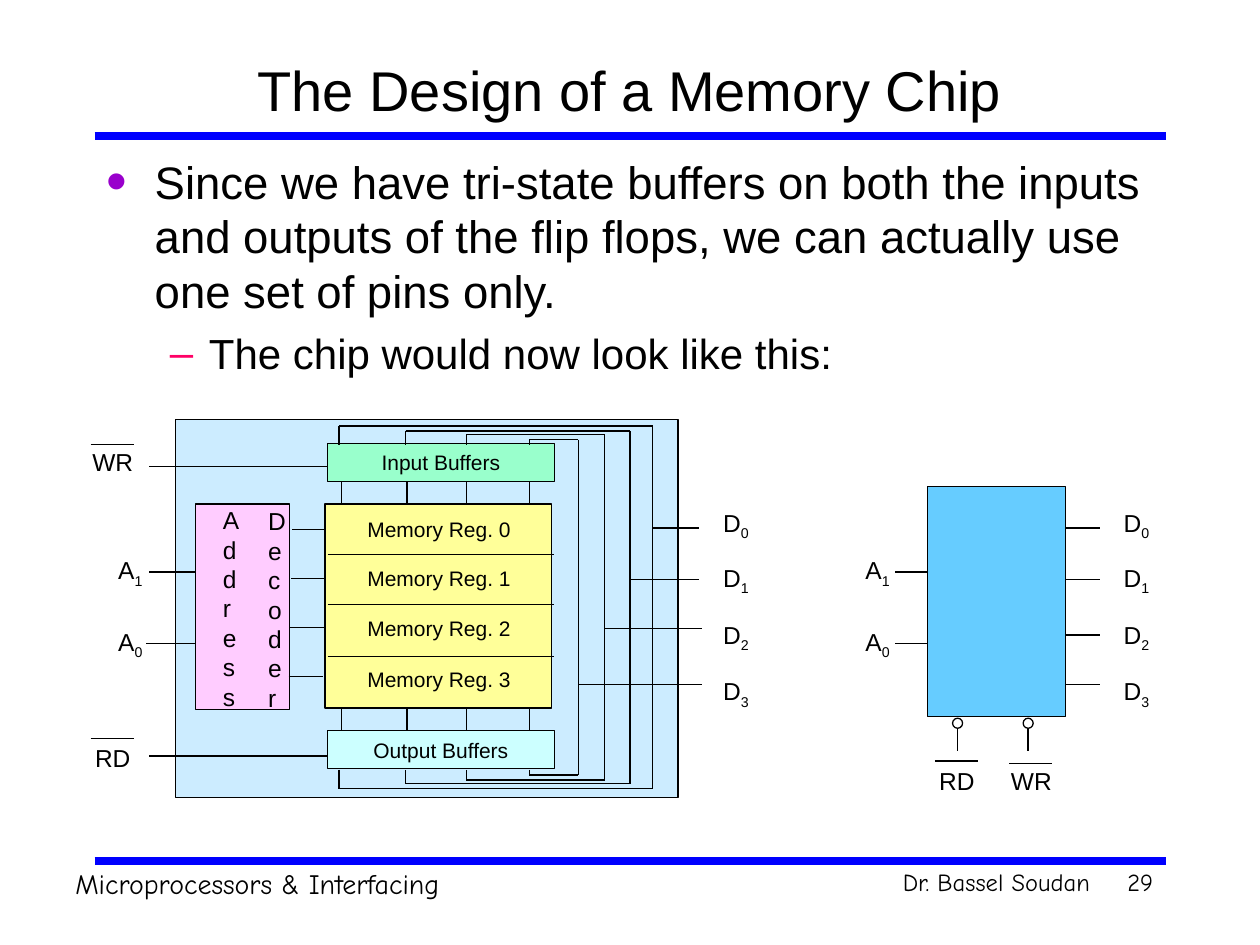
from lxml import etree
from pptx import Presentation
from pptx import util as u
from pptx.dml.color import RGBColor
from pptx.enum import shapes, text
from pptx.oxml.ns import qn

PX = 9144
INK = {
    "black": "000000", "rule": "0000FF", "dot": "9900CC", "dash": "FF0066",
    "chip": "CCECFF", "reg": "FFFF99", "input": "99FFCC", "output": "CCFFFF",
    "decode": "FFCCFF", "block": "66CCFF",
}
ALIGN = {"l": text.PP_ALIGN.LEFT, "c": text.PP_ALIGN.CENTER, "r": text.PP_ALIGN.RIGHT}
HAND = "Comic Neue"


def emu(*nums):
    """Turn px into EMU."""
    return [u.Emu(n * PX) for n in nums]


def rgb(name):
    """Look up a colour."""
    return RGBColor.from_string(INK[name])


def write(par, words, size, font="Arial", align="l", sub=""):
    """Fill a paragraph with a run and an optional subscript run."""
    par.alignment = ALIGN[align]
    for part, base in ((words, None), (sub, "-25000")):
        if part:
            run = par.add_run()
            run.text = part
            run.font.size = u.Pt(size)
            run.font.name = font
            run.font.color.rgb = rgb("black")
            if base:
                run.font._element.set("baseline", base)


def label(slide, box, lines, size=14, font="Arial", align="l", sub="", wrap=True):
    """Add a text box with one paragraph for each line."""
    frame = slide.shapes.add_textbox(*emu(*box)).text_frame
    frame.word_wrap = wrap
    frame.auto_size = text.MSO_AUTO_SIZE.SHAPE_TO_FIT_TEXT
    for i, words in enumerate(lines):
        par = frame.add_paragraph() if i else frame.paragraphs[0]
        write(par, words, size, font, align, sub)


def line(slide, x1, y1, x2, y2, tint="black", width=0.75):
    """Draw a straight line."""
    wire = slide.shapes.add_connector(shapes.MSO_CONNECTOR.STRAIGHT, *emu(x1, y1, x2, y2))
    wire.line.color.rgb = rgb(tint)
    wire.line.width = u.Pt(width)
    etree.SubElement(wire._element.spPr, qn("a:effectLst"))


def block(slide, box, fill=None, words="", kind=shapes.MSO_SHAPE.RECTANGLE):
    """Draw an outlined shape with optional text."""
    shape = slide.shapes.add_shape(kind, *emu(*box))
    shape.shadow.inherit = False
    if fill:
        shape.fill.solid()
        shape.fill.fore_color.rgb = rgb(fill)
    else:
        shape.fill.background()
    shape.line.color.rgb = rgb("black")
    shape.line.width = u.Pt(0.75)
    if words:
        write(shape.text_frame.paragraphs[0], words, 12, align="c")


def barred(slide, x, y, words, rise):
    """Write an active-low signal name under a bar."""
    label(slide, (x, y, 59, 34), [words], align="c")
    line(slide, x + 12, y + rise, x + 46, y + rise)


def names(slide, x, y, letter, digits, step):
    """Write a column of pin names with subscripts."""
    for i, digit in enumerate(digits):
        label(slide, (x, y + i * step // 3, 46, 37), [letter], sub=digit)


def head(slide, x, y, w, h):
    """Place the title and the rule under it."""
    title = slide.shapes.title
    title.left, title.top, title.width, title.height = emu(x, y, w, h)
    frame = title.text_frame
    frame.auto_size = text.MSO_AUTO_SIZE.NONE
    frame.vertical_anchor = text.MSO_ANCHOR.MIDDLE
    write(frame.paragraphs[0], "The Design of a Memory Chip", 32, align="c")
    line(slide, x, y + h, x + w, y + h, "rule", 4.5)


def body(slide, x, y, w, h):
    """Place the bulleted text."""
    frame = slide.shapes.add_textbox(*emu(x, y, w, h)).text_frame
    frame.word_wrap = True
    rows = (
        ("Since we have tri-state buffers on both the inputs and outputs of the "
         "flip flops, we can actually use one set of pins only.",
         26, 6.5, 38, 38, "•", "dot", 130),
        ("The chip would now look like this:", 24, 6, 81, 31, "–", "dash", 100),
    )
    for i, (words, size, gap, left, hang, mark, tint, scale) in enumerate(rows):
        par = frame.add_paragraph() if i else frame.paragraphs[0]
        par.level = i
        par.space_before = u.Pt(gap)
        write(par, words, size)
        props = par._p.get_or_add_pPr()
        props.set("marL", str(left * PX))
        props.set("indent", str(-hang * PX))
        color = etree.SubElement(props, qn("a:buClr"))
        etree.SubElement(color, qn("a:srgbClr"), val=INK[tint])
        etree.SubElement(props, qn("a:buSzPct"), val=str(scale * 1000))
        etree.SubElement(props, qn("a:buFont"), typeface="Arial")
        etree.SubElement(props, qn("a:buChar"), char=mark)


def decoder(slide, x, y, w, h):
    """Draw the address decoder with its two upright words."""
    block(slide, (x, y, w, h), "decode")
    label(slide, (x + 12, y - 4, 33, 174), "Address", wrap=False)
    label(slide, (x + 48, y - 3, 34, 174), "Decoder", wrap=False)
    for i in range(4):
        line(slide, x + 77 - i, y + 20 + 39 * i, x + 104 - i, y + 20 + 39 * i)
    for drop, left in ((54, 37), (111, 39)):
        line(slide, x, y + drop, x - left, y + drop)
    names(slide, x - 71, y + 36, "A", "10", 171)


def bank(slide, x, y, w, h):
    """Draw the memory registers and the stubs to the buffers."""
    block(slide, (x, y, w, h), "reg")
    for drop in (40, 80, 121):
        line(slide, x + 2, y + drop, x + w + 2, y + drop)
    for i in range(4):
        label(slide, (x, y + 5 + i * 119 // 3, w + 1, 30), [f"Memory Reg. {i}"], 12, align="c")
    for dx in (13, 65, 112, 162):
        line(slide, x + dx, y - 18, x + dx, y)
        line(slide, x + dx, y + h, x + dx, y + h + 18)


def bus(slide, x, y, h):
    """Draw the nested wires that join inputs, outputs and data pins."""
    rows = (
        (130, 379, 5, 86, 416), (183, 361, 9, 127, 416),
        (231, 341, 12, 166, 418), (281, 320, 16, 210, 418),
    )
    for left, right, gap, pin, end in rows:
        base = h - 2 - gap
        for edge, rail in ((20, gap), (h - 22, base)):
            line(slide, x + left, y + edge, x + left, y + rail)
            line(slide, x + left, y + rail, x + right, y + rail)
        line(slide, x + right, y + gap, x + right, y + base)
        line(slide, x + right, y + pin, x + end, y + pin)


def chip(slide, x, y, w, h):
    """Draw the inside of the memory chip."""
    block(slide, (x, y, w, h), "chip")
    block(slide, (x + 121, y + 19, 180, 30), "input", "Input Buffers")
    block(slide, (x + 121, y + 247, 180, 30), "output", "Output Buffers")
    bank(slide, x + 119, y + 67, 180, 162)
    decoder(slide, x + 16, y + 67, 75, 163)
    bus(slide, x, y, h)
    for words, top, rise, pin in (("WR", 17, 3, 37), ("RD", 252, 1, 267)):
        barred(slide, x - 79, y + top, words, rise)
        line(slide, x + 121, y + pin, x - 21, y + pin)
    names(slide, x + 425, y + 65, "D", "0123", 134)


def symbol(slide, x, y, w, h):
    """Draw the chip as a block with its pins."""
    block(slide, (x, y, w, h), "block")
    for drop in (33, 74, 118, 157):
        line(slide, x + w, y + drop, x + w + 27, y + drop)
    for drop in (68, 125):
        line(slide, x, y + drop, x - 26, y + drop)
    names(slide, x - 59, y + 50, "A", "10", 171)
    names(slide, x + 146, y + 12, "D", "0123", 134)
    for dx, left, words, rise in ((20, -6, "RD", 1), (76, 53, "WR", 3)):
        block(slide, (x + dx, y + h + 1, 8, 8), kind=shapes.MSO_SHAPE.OVAL)
        line(slide, x + dx + 4, y + h + 9, x + dx + 4, y + h + 27)
        barred(slide, x + left, y + h + 34, words, rise)


def foot(slide, x, y, w):
    """Place the lower rule, course, teacher and page number."""
    line(slide, x, y, x + w, y, "rule", 4.5)
    label(slide, (x - 25, y, 567, 37), ["Microprocessors & Interfacing"], 16, HAND)
    label(slide, (x + 558, y, 242, 34), ["Dr. Bassel Soudan"], 14, HAND, "r")
    label(slide, (x + w - 42, y, 42, 34), ["29"], 14, HAND, "r")


def main():
    """Build and save the slide."""
    deck = Presentation()
    deck.slide_width, deck.slide_height = emu(1000, 750)
    slide = deck.slides.add_slide(deck.slide_layouts[5])
    head(slide, 75, 33, 850, 75)
    body(slide, 75, 117, 850, 558)
    chip(slide, 139, 333, 399, 300)
    symbol(slide, 736, 386, 110, 183)
    foot(slide, 75, 683, 850)
    deck.save("out.pptx")


if __name__ == "__main__":
    main()
